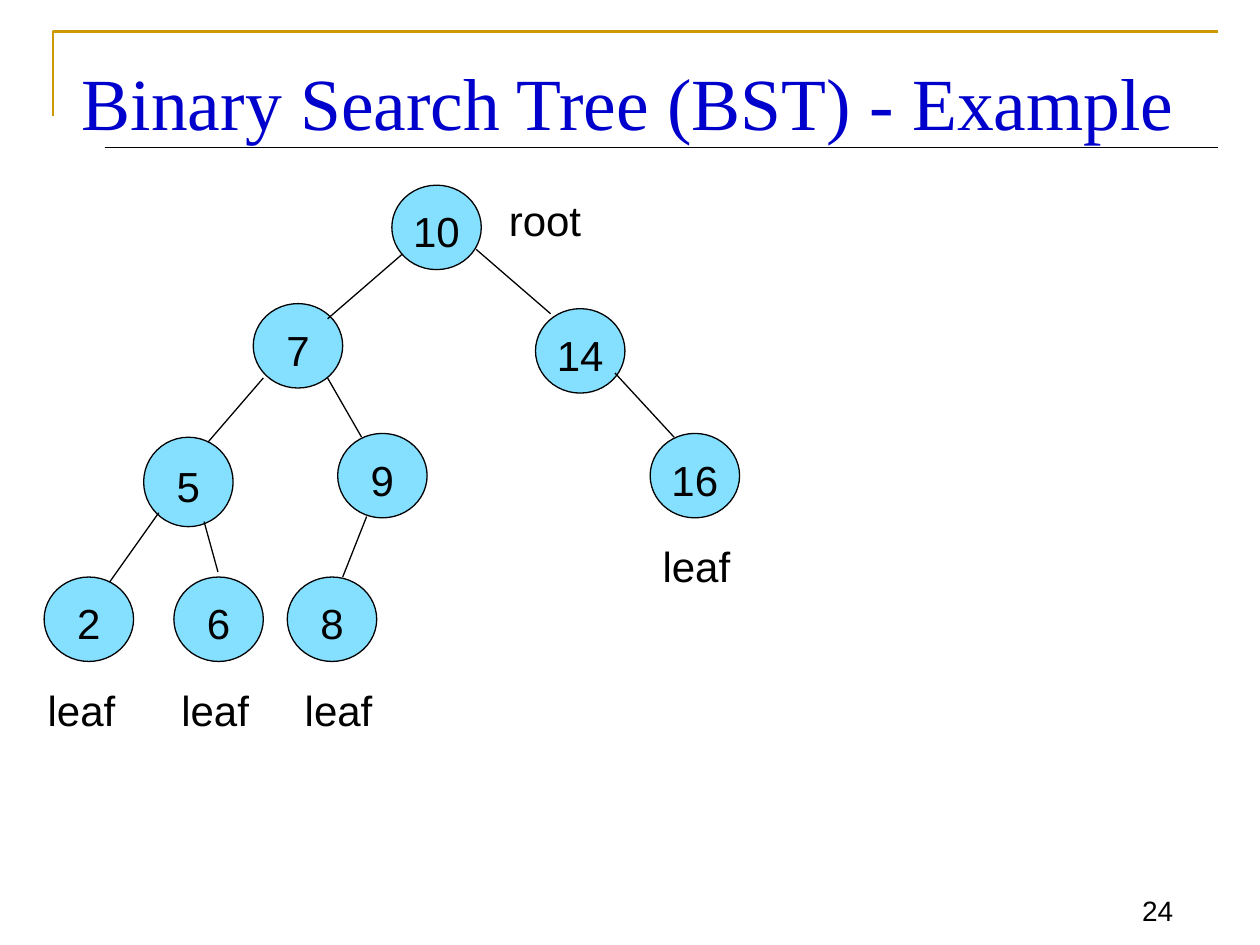
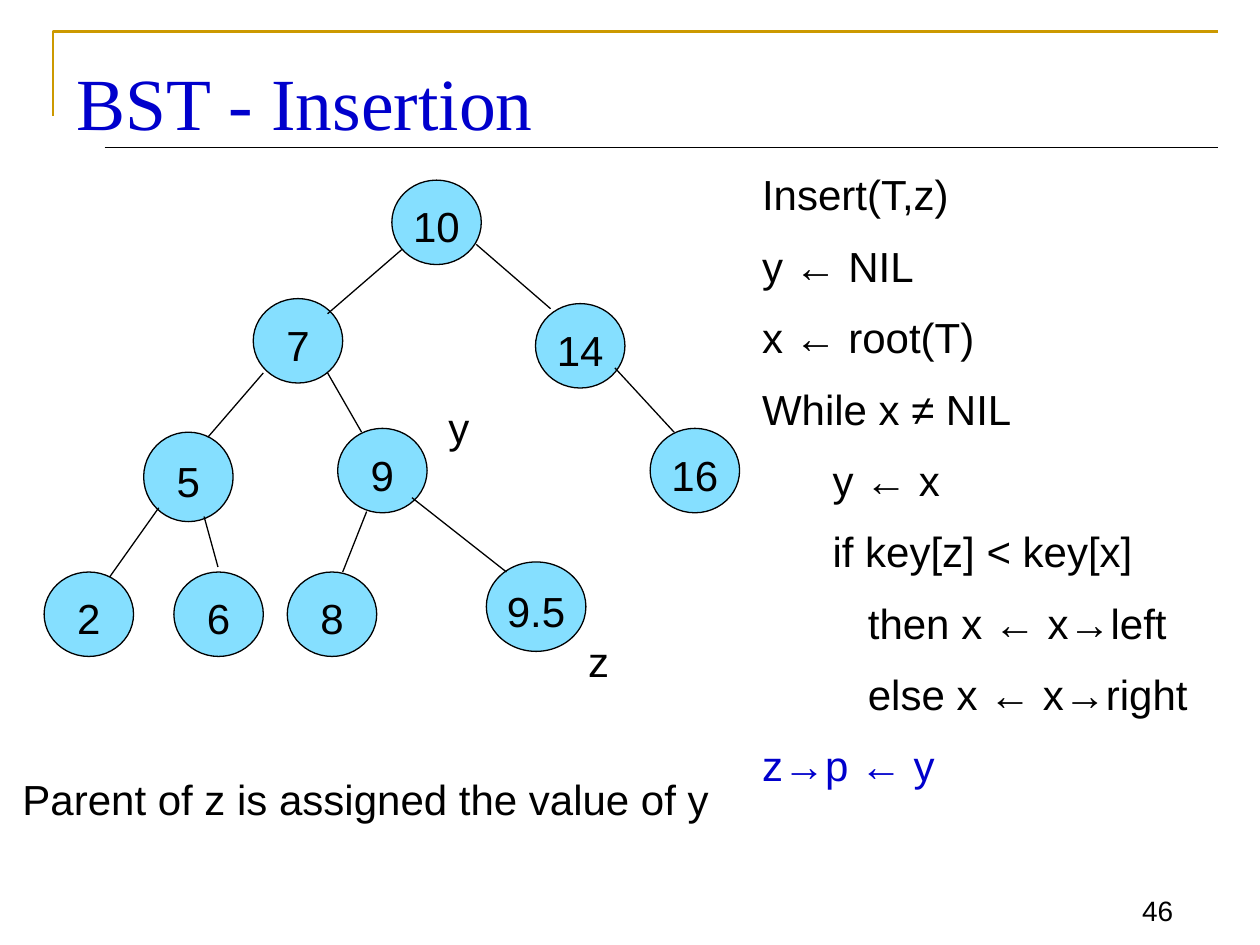
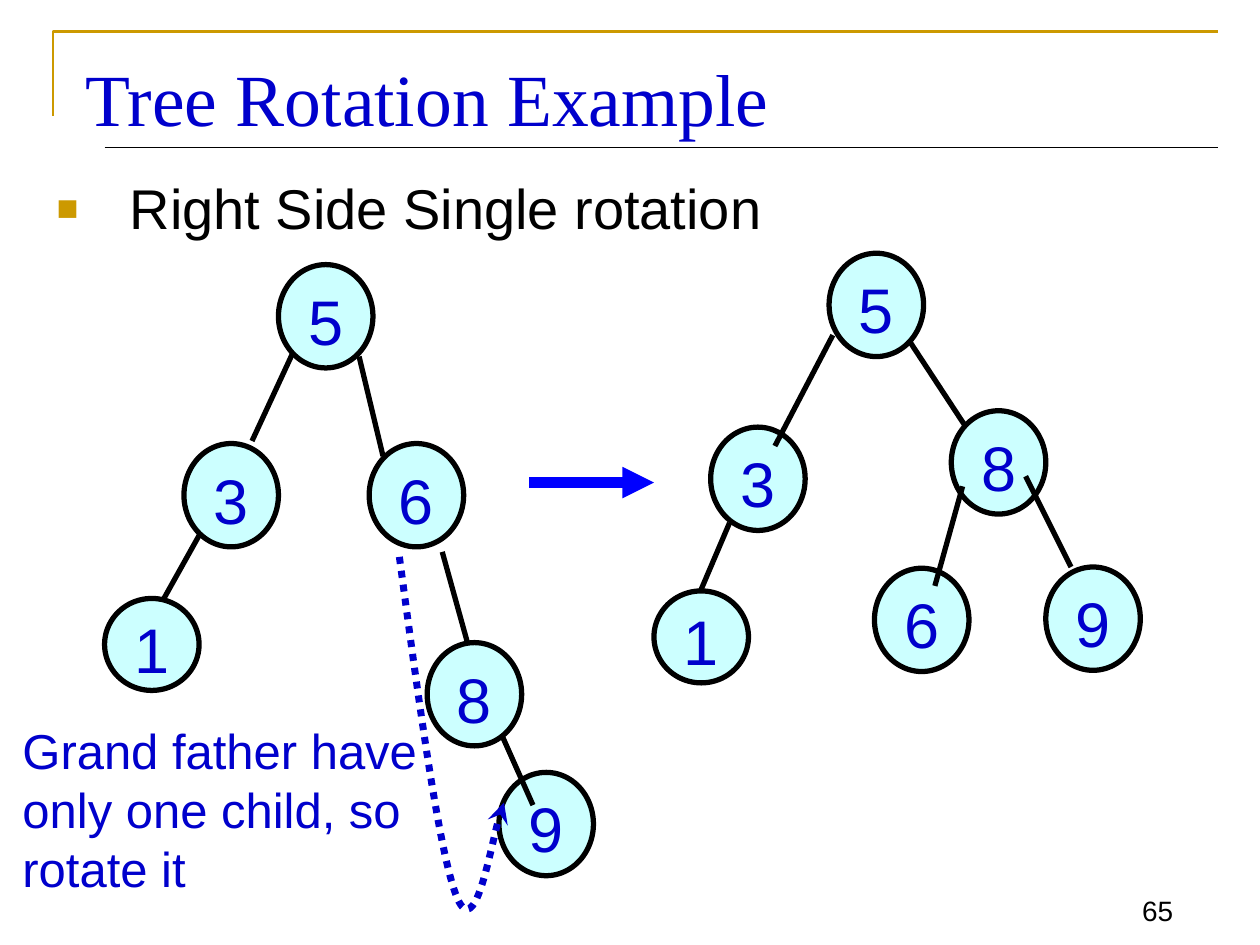
from dataclasses import dataclass

from lxml import etree
from pptx import Presentation
from pptx.dml.color import RGBColor
from pptx.enum.dml import MSO_LINE
from pptx.enum.shapes import MSO_CONNECTOR, MSO_SHAPE
from pptx.enum.text import MSO_ANCHOR, MSO_AUTO_SIZE, PP_ALIGN
from pptx.oxml.ns import qn
from pptx.util import Inches, Pt

BLACK, BLUE, GOLD = "000000", "0000CC", "CC9900"
ARROW_BLUE = "0000FF"
BODY_FONT, TITLE_FONT = "Arial", "Times New Roman"


@dataclass
class TreeStyle:
    """Look of the nodes and edges of one kind of tree."""
    fill: str
    text: str
    size: int
    line_width: float
    node_size: tuple


SEARCH_STYLE = TreeStyle("85DFFF", BLACK, 24, 0.75, (0.71, 0.67))
ROTATION_STYLE = TreeStyle("CCFFFF", BLUE, 36, 3, (0.75, 0.82))

SEARCH_NODES = [
    ("10", 2.76, 0), ("7", 1.66, 0.94), ("14", 3.9, 0.98),
    ("5", 0.79, 2, 0.71, 0.71), ("9", 2.33, 1.97), ("16", 4.81, 1.97),
    ("2", 0, 3.11), ("6", 1.03, 3.11), ("8", 1.93, 3.11),
]
SEARCH_EDGES = [
    (2.84, 0.55, 2.25, 1.06), (3.43, 0.51, 4.02, 1.02),
    (1.74, 1.53, 1.3, 2.04), (2.25, 1.53, 2.52, 2), (4.53, 1.49, 5, 2),
    (0.91, 2.6, 0.52, 3.15), (1.27, 2.67, 1.38, 3.07),
    (2.56, 2.63, 2.37, 3.11),
]
INSERTED_NODE = ("9.5", 3.51, 3.03, 0.79, 0.71)
INSERTED_EDGE = (2.92, 2.52, 3.67, 3.11)

BEFORE_NODES = [
    ("5", 1.38, 0), ("3", 0.63, 1.42), ("6", 2.1, 1.42),
    ("1", 0, 2.65, 0.75, 0.73), ("9", 3.13, 4.03), ("8", 2.56, 3),
]
BEFORE_EDGES = [
    (1.49, 0.71, 1.17, 1.4), (2.02, 0.73, 2.21, 1.52),
    (0.75, 2.15, 0.46, 2.67), (2.68, 2.28, 2.88, 3),
    (3.16, 3.75, 3.4, 4.29),
]
AFTER_NODES = [
    ("5", 1.39, 0), ("3", 0.45, 1.38), ("8", 2.36, 1.25),
    ("1", 0, 2.68, 0.75, 0.73), ("6", 1.75, 2.5), ("9", 3.11, 2.49),
]
AFTER_EDGES = [
    (1.42, 0.65, 0.96, 1.53), (2.03, 0.7, 2.47, 1.37),
    (0.6, 2.14, 0.37, 2.68), (2.45, 1.85, 2.23, 2.64),
    (2.95, 1.77, 3.31, 2.49),
]
INSERT_CODE = [
    ("Insert(T,z)", 0), ("y ← NIL", 0), ("x ← root(T)", 0),
    ("While x ≠ NIL", 0), ("y ← x", 2), ("if key[z] < key[x]", 2),
    ("then x ← x→left", 3), ("else x ← x→right", 3), ("z→p ← y", 0),
]


def rgb(value):
    """Turn a hex string into a colour."""
    return RGBColor.from_string(value)


def box_of(*lengths):
    """Turn numbers into lengths in inches."""
    return [Inches(n) for n in lengths]


def style_paragraph(p, size, color, font=BODY_FONT):
    """Format the runs and line pitch of a paragraph."""
    p.line_spacing = Pt(round(size * 1.2, 1))
    for r in p.runs:
        r.font.size, r.font.name = Pt(size), font
        r.font.color.rgb = rgb(color)


def style_line(shape, color, width, end=None):
    """Colour an outline and give it an optional arrowhead."""
    shape.line.color.rgb = rgb(color)
    shape.line.width = Pt(width)
    if end:
        ln = shape.element.spPr.find(qn("a:ln"))
        etree.SubElement(ln, qn("a:tailEnd"), type=end)


def add_text(s, box, text, size=24, color=BLACK):
    """Add a wrapped text box and return its text frame."""
    tf = s.shapes.add_textbox(*box_of(*box)).text_frame
    tf.word_wrap = True
    tf.margin_top = Inches(0.07)
    tf.text = text
    for p in tf.paragraphs:
        style_paragraph(p, size, color)
    return tf


def add_line(s, ends, color=BLACK, width=0.75, end=None):
    """Add a straight line between two points."""
    line = s.shapes.add_connector(MSO_CONNECTOR.STRAIGHT, *box_of(*ends))
    style_line(line, color, width, end)
    etree.SubElement(line.element.spPr, qn("a:effectLst"))


def add_outline(s, points):
    """Add an open, unfilled freeform through the points."""
    start, *rest = [box_of(*point) for point in points]
    builder = s.shapes.build_freeform(*start)
    builder.add_line_segments(rest, close=False)
    sp = builder.convert_to_shape()
    sp.shadow.inherit = False
    sp.fill.background()
    return sp


def add_curve(s, points):
    """Add a cubic Bezier curve given its start and control points."""
    sp = add_outline(s, points)
    outline = next(sp.element.iter(qn("a:path")))
    segments = outline.findall(qn("a:lnTo"))
    for i in range(0, len(segments), 3):
        curve = etree.SubElement(outline, qn("a:cubicBezTo"))
        for segment in segments[i:i + 3]:
            curve.append(segment[0])
            outline.remove(segment)
    return sp


def add_slide(prs, title, title_box, number):
    """Add a slide with the shared frame, title and page number."""
    s = prs.slides.add_slide(prs.slide_layouts[5])
    frame = add_outline(s, [(0.42, 0.92), (0.42, 0.25), (9.67, 0.25)])
    style_line(frame, GOLD, 1.5)
    add_line(s, (0.83, 1.17, 9.67, 1.17))
    sp = s.shapes.title
    sp.left, sp.top, sp.width, sp.height = box_of(*title_box)
    tf = sp.text_frame
    tf.text = title
    tf.auto_size = MSO_AUTO_SIZE.NONE
    tf.vertical_anchor = MSO_ANCHOR.TOP
    tf.margin_top = Inches(0.09)
    tf.paragraphs[0].alignment = PP_ALIGN.LEFT
    style_paragraph(tf.paragraphs[0], 42, BLUE, TITLE_FONT)
    tf = add_text(s, (8.75, 6.92, 0.66, 0.49), str(number), 16)
    tf.vertical_anchor = MSO_ANCHOR.BOTTOM
    tf.paragraphs[0].alignment = PP_ALIGN.RIGHT
    return s


def add_node(s, box, key, style):
    """Add one tree node with its key."""
    sp = s.shapes.add_shape(MSO_SHAPE.OVAL, *box_of(*box))
    sp.shadow.inherit = False
    sp.fill.solid()
    sp.fill.fore_color.rgb = rgb(style.fill)
    style_line(sp, BLACK, style.line_width)
    tf = sp.text_frame
    tf.text = key
    tf.word_wrap = False
    tf.vertical_anchor = MSO_ANCHOR.MIDDLE
    tf.margin_left = tf.margin_right = tf.margin_bottom = 0
    tf.margin_top = Inches(0.06)
    p = tf.paragraphs[0]
    p.alignment = PP_ALIGN.CENTER
    style_paragraph(p, style.size, style.text)


def add_tree(s, left, top, nodes, edges, style):
    """Draw a tree whose parts are placed from its top left corner."""
    for key, x, y, *size in nodes:
        add_node(s, (left + x, top + y, *(size or style.node_size)), key, style)
    for x1, y1, x2, y2 in edges:
        add_line(s, (left + x1, top + y1, left + x2, top + y2),
                 width=style.line_width)


def add_code(s, box, lines):
    """Write indented pseudocode with its last line highlighted."""
    tf = add_text(s, box, "\n".join(text for text, _ in lines))
    for p, (_, level) in zip(tf.paragraphs, lines):
        p._p.get_or_add_pPr().set("marL", str(Inches(0.28 * level)))
    for p in tf.paragraphs[1:]:
        p.space_before = Pt(12)
    style_paragraph(tf.paragraphs[-1], 24, BLUE)


def add_bullet(s, box, text):
    """Write a line with a square gold bullet."""
    p = add_text(s, box, text, 32).paragraphs[0]
    pPr = p._p.get_or_add_pPr()
    pPr.set("marL", str(Inches(0.58)))
    pPr.set("indent", str(Inches(-0.58)))
    color = etree.SubElement(pPr, qn("a:buClr"))
    etree.SubElement(color, qn("a:srgbClr"), val=GOLD)
    etree.SubElement(pPr, qn("a:buSzPct"), val="65000")
    etree.SubElement(pPr, qn("a:buFont"), typeface=BODY_FONT)
    etree.SubElement(pPr, qn("a:buChar"), char="■")


def build_example(prs):
    """Build the search tree with its root and leaves labelled."""
    s = add_slide(prs, "Binary Search Tree (BST) - Example",
                  (0.55, 0.36, 9.13, 0.75), 24)
    add_tree(s, 0.35, 1.47, SEARCH_NODES, SEARCH_EDGES, SEARCH_STYLE)
    for x, y in [(0.28, 5.36), (1.34, 5.36), (2.32, 5.36), (5.16, 4.22)]:
        add_text(s, (x, y, 0.85, 0.5), "leaf")
    add_text(s, (3.94, 1.47, 2, 0.5), "root")


def build_insertion(prs):
    """Build the insertion step beside its pseudocode."""
    s = add_slide(prs, "BST - Insertion", (0.51, 0.36, 9.21, 0.83), 46)
    add_tree(s, 0.35, 1.43, SEARCH_NODES + [INSERTED_NODE],
             SEARCH_EDGES + [INSERTED_EDGE], SEARCH_STYLE)
    add_text(s, (3.46, 3.12, 0.47, 0.5), "y")
    add_text(s, (4.57, 4.97, 0.55, 0.5), "z")
    add_code(s, (5.95, 1.27, 3.9, 5.35), INSERT_CODE)
    add_text(s, (0.08, 6.07, 5.75, 0.5),
             "Parent of z is assigned the value of y")


def build_rotation(prs):
    """Build the trees before and after a single rotation."""
    s = add_slide(prs, "Tree Rotation Example", (0.58, 0.33, 9.08, 0.75), 65)
    add_bullet(s, (0.35, 1.31, 7.95, 0.68), "Right Side Single rotation")
    add_tree(s, 0.83, 2.1, BEFORE_NODES, BEFORE_EDGES, ROTATION_STYLE)
    add_tree(s, 5.19, 2.01, AFTER_NODES, AFTER_EDGES, ROTATION_STYLE)
    add_line(s, (4.2, 3.83, 5.19, 3.83), ARROW_BLUE, 6, "triangle")
    swing = add_curve(s, [(3.17, 4.42), (3.33, 5.61), (3.49, 6.8), (3.63, 7.13),
                          (3.77, 7.45), (3.94, 6.49), (4, 6.37)])
    swing.line.dash_style = MSO_LINE.ROUND_DOT
    style_line(swing, BLUE, 4, "stealth")
    add_text(s, (0.08, 5.65, 3.35, 1.51),
             "Grand father have only one child, so rotate it", 28, BLUE)


def main():
    """Build the three slides and save them."""
    prs = Presentation()
    prs.slide_width, prs.slide_height = box_of(10, 7.5)
    build_example(prs)
    build_insertion(prs)
    build_rotation(prs)
    prs.save("out.pptx")


if __name__ == "__main__":
    main()
